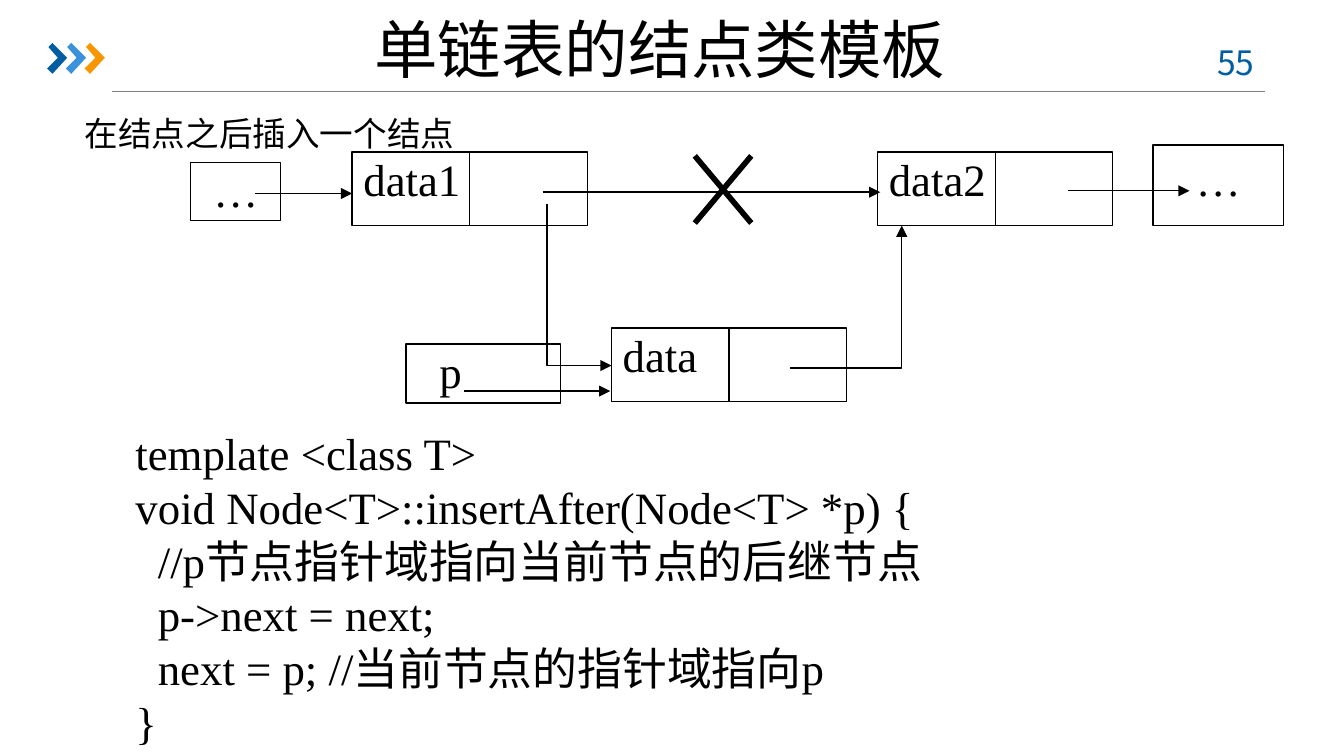
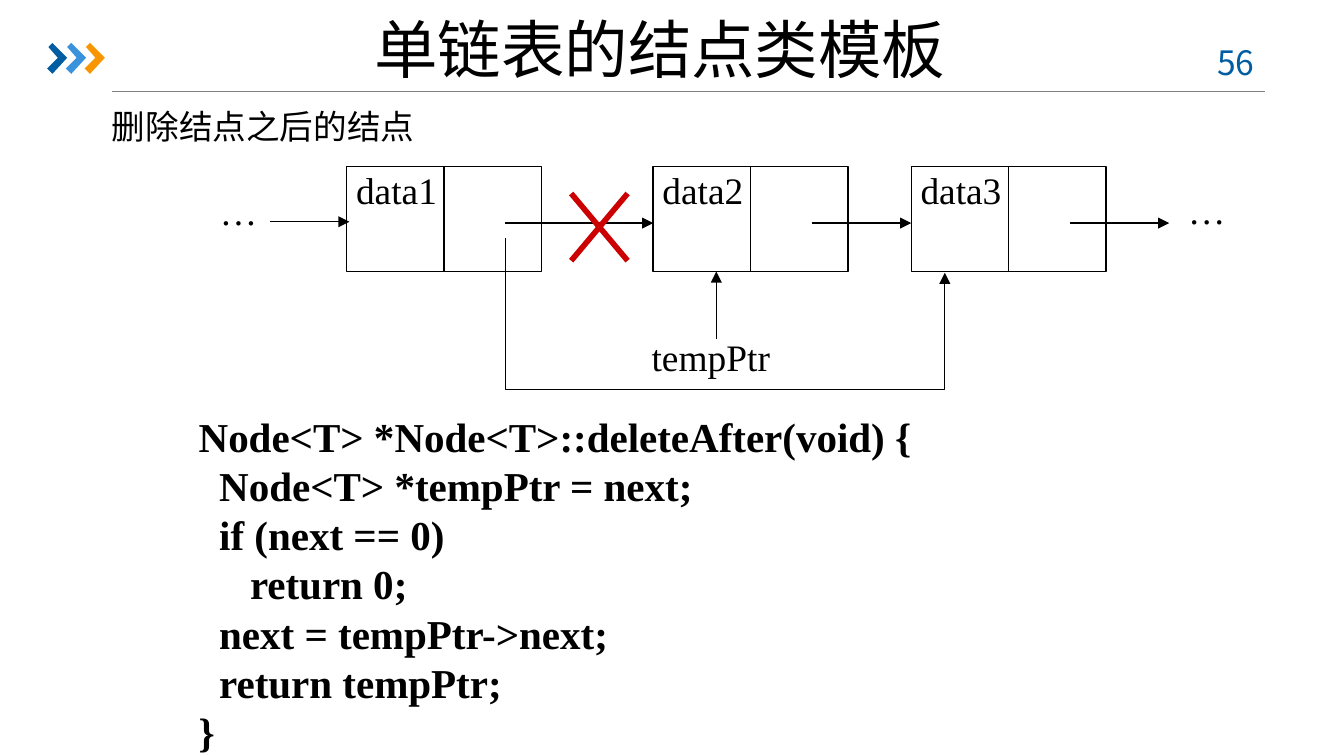
from dataclasses import dataclass

from lxml import etree
from pptx import Presentation
from pptx.dml.color import RGBColor
from pptx.enum import shapes, text
from pptx.oxml import ns
from pptx.util import Inches, Pt

LEFT, MID, JUST = text.PP_ALIGN.LEFT, text.PP_ALIGN.CENTER, text.PP_ALIGN.JUSTIFY


@dataclass(frozen=True)
class Theme:
    ink: str = "000000"
    rule: str = "808080"
    blue: str = "005DA2"
    sky: str = "3992DB"
    gold: str = "F79600"
    red: str = "CC0000"
    head: str = "Calibri"
    code: str = "Times New Roman"
    cjk: str = "Noto Sans CJK SC"
    title: int = 34
    label: int = 18
    large: int = 24
    mid: int = 22
    small: int = 20
    thin: float = 0.75
    thick: float = 3


T = Theme()


def rgb(code):
    return RGBColor.from_string(code)


def write(shape, lines, size, font=T.code, color=T.ink, align=LEFT,
          bold=False, pad=(0.1, 0.05), middle=False, fixed=True):
    """Fill a shape with lines, each a (left indent, words) pair."""
    frame = shape.text_frame
    frame.word_wrap = True
    frame.margin_left = frame.margin_right = Inches(pad[0])
    frame.margin_top = frame.margin_bottom = Inches(pad[1])
    anchor = text.MSO_ANCHOR
    frame.vertical_anchor = anchor.MIDDLE if middle else anchor.TOP
    for i, (indent, words) in enumerate(lines):
        para = frame.add_paragraph() if i else frame.paragraphs[0]
        para.alignment = align
        if fixed:
            para.line_spacing = Pt(size * 1.2)
        if indent:
            props = para._p.get_or_add_pPr()
            props.set("marL", str(Inches(indent)))
            props.set("indent", "0")
        run = para.add_run()
        run.text = words
        run.font.name = font
        run.font.size = Pt(size)
        run.font.bold = bold
        run.font.color.rgb = rgb(color)
        if any("一" <= sign <= "龥" for sign in words):
            east = etree.SubElement(run._r.get_or_add_rPr(), ns.qn("a:ea"))
            east.set("typeface", T.cjk)


def label(slide, box, words, size, **style):
    area = slide.shapes.add_textbox(*map(Inches, box))
    write(area, [(0, words)], size, **style)


def code(slide, box, lines, size, bold=False):
    """Add a listing; each line is (number of columns to indent, words)."""
    col = size / 4 / 72
    area = slide.shapes.add_textbox(*map(Inches, box))
    write(area, [(n * col, words) for n, words in lines], size, bold=bold)


def stroke(shape, color=T.ink, width=T.thin, arrow=False):
    shape.line.color.rgb = rgb(color)
    shape.line.width = Pt(width)
    if arrow:
        tail = etree.SubElement(shape.line._get_or_add_ln(), ns.qn("a:tailEnd"))
        tail.set("type", "triangle")


def line(slide, start, end, **style):
    link = slide.shapes.add_connector(
        shapes.MSO_CONNECTOR.STRAIGHT, *map(Inches, (*start, *end)))
    stroke(link, **style)
    etree.SubElement(link._element.spPr, ns.qn("a:effectLst"))
    return link


def arrow(slide, x, y, end):
    line(slide, (x, y), (end, y), arrow=True)


def outline(slide, points, close):
    spots = [(Inches(x), Inches(y)) for x, y in points]
    form = slide.shapes.build_freeform(*spots[0])
    form.add_line_segments(spots[1:], close=close)
    shape = form.convert_to_shape()
    shape.shadow.inherit = False
    return shape


def bend(slide, *points):
    """Add an arrow that turns at each inner point."""
    shape = outline(slide, points, False)
    shape.fill.background()
    stroke(shape, arrow=True)


def chevron(slide, x, color):
    points = [(0.01, 0.35), (0.04, 0.32), (0.15, 0.43), (0.04, 0.55),
              (0, 0.51), (0.08, 0.43)]
    shape = outline(slide, [(x + dx, y) for dx, y in points], True)
    shape.fill.solid()
    shape.fill.fore_color.rgb = rgb(color)
    shape.line.fill.background()


def rect(slide, box, words, size, align=JUST, indent=0.0, pad=(0, 0)):
    shape = slide.shapes.add_shape(
        shapes.MSO_SHAPE.RECTANGLE, *map(Inches, box))
    shape.shadow.inherit = False
    shape.fill.background()
    stroke(shape)
    write(shape, [(indent, words)], size, align=align, pad=pad)
    return shape


def node(slide, box, words, size):
    """Add a list node: a data field and a pointer field."""
    cell = rect(slide, box, words, size, indent=size / 4 / 72)
    x, y, w, h = box
    split = line(slide, (x + w / 2, y), (x + w / 2, y + h))
    split.begin_connect(cell, 0)
    split.end_connect(cell, 2)


def cross(slide, x, y, color):
    w, h = 0.42, 0.5
    line(slide, (x + w, y), (x, y + h), color=color, width=T.thick)
    line(slide, (x, y), (x + w, y + h), color=color, width=T.thick)


def base(deck, number, box, topic):
    """Add a slide with the shared band, page number, title and topic."""
    slide = deck.slides.add_slide(deck.slide_layouts[6])
    line(slide, (0.83, 0.68), (9.41, 0.68), color=T.rule)
    for i, color in enumerate((T.blue, T.sky, T.gold)):
        chevron(slide, 0.35 + 0.14 * i, color)
    label(slide, (8.86, 0.26, 0.73, 0.4), f"{number} ", T.label,
          font=T.cjk, color=T.blue, align=MID)
    head = dict(font=T.head, align=MID, middle=True, fixed=False)
    label(slide, (0.91, 0, 8, 0.71), "单链表的结点类模板", T.title, **head)
    label(slide, box, topic, T.label, **head)
    return slide


def insert(deck):
    slide = base(deck, 55, (0.43, 0.69, 3.15, 0.6), "在结点之后插入一个结点")
    for x, y, words in ((2.62, 1.13, "data1"), (6.53, 1.13, "data2"),
                        (4.55, 2.44, "data")):
        node(slide, (x, y, 1.75, 0.55), words, T.large)
    rect(slide, (1.42, 1.21, 0.67, 0.43), "…", T.large, align=MID)
    rect(slide, (8.58, 1.08, 0.97, 0.6), "…", T.large, align=MID,
         pad=(0.1, 0.05))
    rect(slide, (3.02, 2.56, 1.15, 0.44), "p", T.large, indent=0.25)
    for x, y, end in ((1.9, 1.44, 2.62), (4.04, 1.43, 6.55),
                      (7.95, 1.42, 8.85), (3.45, 2.91, 4.54)):
        arrow(slide, x, y, end)
    bend(slide, (5.88, 2.74), (6.71, 2.74), (6.71, 1.68))
    bend(slide, (4.07, 1.52), (4.07, 2.72), (4.55, 2.72))
    cross(slide, 5.17, 1.16, T.ink)
    code(slide, (0.91, 3.12, 8.17, 2.5), [
        (0, "template <class T>"),
        (0, "void Node<T>::insertAfter(Node<T> *p) {"),
        (2, "//p节点指针域指向当前节点的后继节点"),
        (2, "p->next = next;"),
        (2, "next = p; //当前节点的指针域指向p"),
        (0, "}"),
    ], T.large)


def delete(deck):
    slide = base(deck, 56, (0.35, 0.75, 3.16, 0.37), " 删除结点之后的结点")
    for i, x in enumerate((2.58, 4.86, 6.78), 1):
        node(slide, (x, 1.24, 1.45, 0.78), f"data{i}", T.small)
    for x, y, end in ((2.01, 1.65, 2.6), (3.76, 1.66, 4.86),
                      (6.04, 1.66, 6.78), (7.96, 1.66, 8.7)):
        arrow(slide, x, y, end)
    label(slide, (1.5, 1.4, 0.55, 0.62), "…", T.small, align=MID, pad=(0, 0))
    label(slide, (8.58, 1.34, 0.8, 0.85), "…", T.small, align=MID)
    bend(slide, (3.76, 1.77), (3.76, 2.9), (7.03, 2.9), (7.03, 2.03))
    cross(slide, 4.25, 1.44, T.red)
    code(slide, (1.38, 3.01, 7.58, 2.66), [
        (0, "Node<T> *Node<T>::deleteAfter(void) {"),
        (2, "Node<T> *tempPtr = next;"),
        (2, "if (next == 0)"),
        (5, "return 0;"),
        (2, "next = tempPtr->next;"),
        (2, "return tempPtr;"),
        (0, "}"),
    ], T.mid, bold=True)
    label(slide, (4.75, 2.44, 1.08, 0.43), "tempPtr", T.small)
    line(slide, (5.33, 2.52), (5.33, 2.02), arrow=True)


def main():
    deck = Presentation()
    deck.slide_width = Inches(10)
    deck.slide_height = Inches(10 * 9 / 16)
    insert(deck)
    delete(deck)
    deck.save("out.pptx")


if __name__ == "__main__":
    main()
